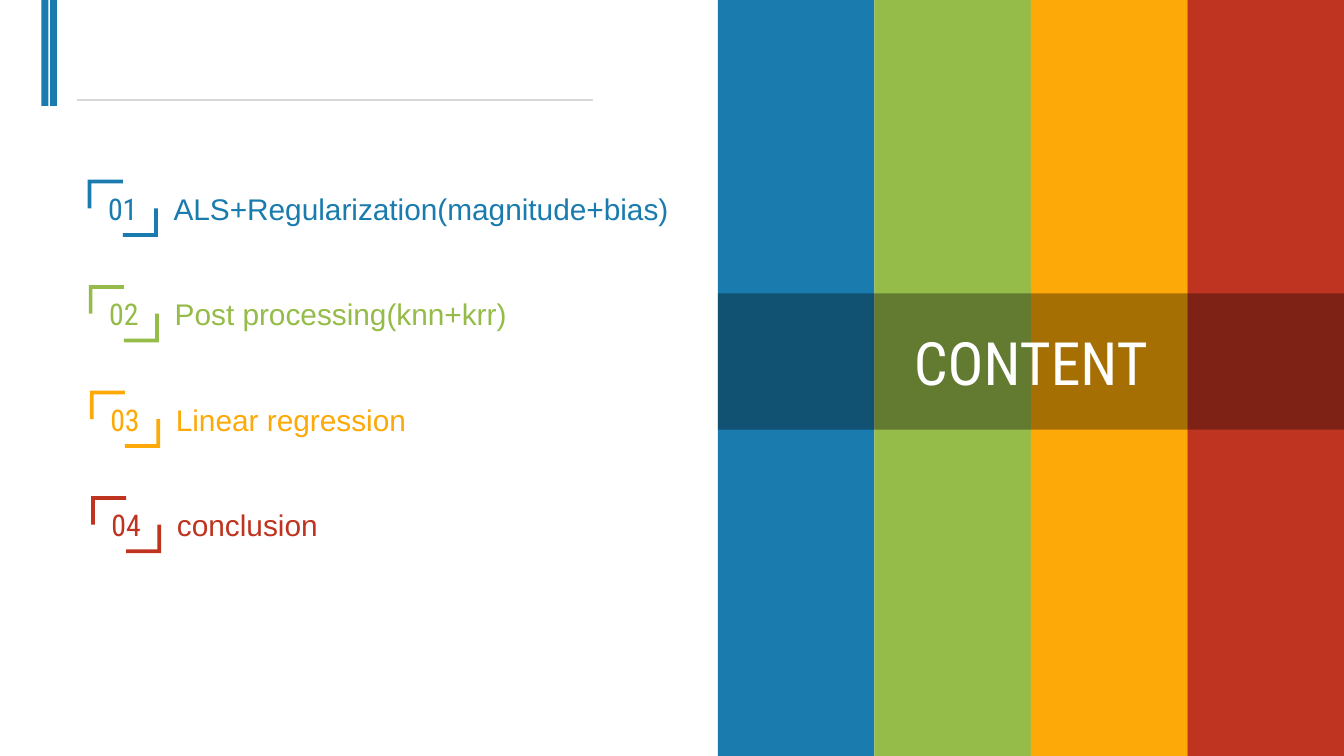
from lxml.etree import SubElement
from pptx import Presentation
from pptx.dml.color import RGBColor
from pptx.enum.shapes import MSO_CONNECTOR as Connector, MSO_SHAPE as Shape
from pptx.enum.text import MSO_ANCHOR as Anchor, MSO_AUTO_SIZE as AutoSize, PP_ALIGN as Align
from pptx.oxml.ns import qn
from pptx.util import Pt

COLOURS = {
    "blue": "1A7BAE", "green": "95BC49", "orange": "FDA907", "red": "BF3420",
    "rule": "D9D9D9", "black": "000000", "white": "FFFFFF",
}
WIDTH, HEIGHT = 720, 405


def paint(shape, colour):
    """Give a shape a plain fill with no line and no shadow."""
    shape.shadow.inherit = False
    shape.fill.solid()
    shape.fill.fore_color.rgb = RGBColor.from_string(COLOURS[colour])
    shape.line.fill.background()


def write(shape, text, size, font, colour, align, anchor):
    frame = shape.text_frame
    frame.word_wrap = True
    frame.vertical_anchor = anchor
    para = frame.paragraphs[0]
    para.alignment = align
    span = para.add_run()
    span.text = text
    span.font.size = Pt(size)
    span.font.name = font
    span.font.color.rgb = RGBColor.from_string(COLOURS[colour])


deck = Presentation()
deck.slide_width, deck.slide_height = Pt(WIDTH), Pt(HEIGHT)
page = deck.slides.add_slide(deck.slide_layouts[6])
shapes = page.shapes

# Title marks and rule
for left in (22.2, 26.8):
    bar = shapes.add_shape(Shape.RECTANGLE, Pt(left), 0, Pt(3.7), Pt(56.8))
    paint(bar, "blue")

rule = shapes.add_connector(Connector.STRAIGHT, Pt(41.2), Pt(53.6), Pt(317.6), Pt(53.6))
rule.line.color.rgb = RGBColor.from_string(COLOURS["rule"])
rule.line.width = Pt(0.75)
SubElement(rule._element.spPr, qn("a:effectLst"))

# Agenda items, each with a number between two corner brackets
ITEMS = [
    ("blue", "ALS+Regularization(magnitude+bias)"),
    ("green", "Post processing(knn+krr)"),
    ("orange", "Linear regression"),
    ("red", "conclusion"),
]
MARK_WIDTH, MARK_HEIGHT, THICK = 37.6, 30.6, 2
ARM_X, ARM_Y = MARK_WIDTH / 2, MARK_HEIGHT / 2
CORNER = [(0, 0), (ARM_X, 0), (ARM_X, THICK), (THICK, THICK), (THICK, ARM_Y), (0, ARM_Y)]
OPPOSITE = [(MARK_WIDTH - x, MARK_HEIGHT - y) for x, y in CORNER]

for index, (colour, label) in enumerate(ITEMS):
    left, top = 47 + 0.6 * index, 96.3 + 56.5 * index

    box = shapes.add_textbox(Pt(left + 38.9), Pt(top + 2.1), Pt(286.6), Pt(26.6))
    write(box, label, 16, "Arial", colour, Align.LEFT, Anchor.TOP)
    box.text_frame.auto_size = AutoSize.SHAPE_TO_FIT_TEXT

    first, second = [
        [(Pt(left + x), Pt(top + y)) for x, y in outline] for outline in (CORNER, OPPOSITE)
    ]
    builder = shapes.build_freeform(*first[0])
    builder.add_line_segments(first[1:], close=True)
    builder.move_to(*second[0])
    builder.add_line_segments(second[1:], close=True)
    mark = builder.convert_to_shape()
    paint(mark, colour)
    write(mark, f"{index + 1:02}", 16, "Roboto Condensed", colour, Align.CENTER, Anchor.MIDDLE)

# Colour stripes with a translucent title band
PANEL_LEFT = 384.6
STRIPE = (WIDTH - PANEL_LEFT) / len(ITEMS)
for index, (colour, _) in enumerate(ITEMS):
    stripe = shapes.add_shape(
        Shape.RECTANGLE, Pt(PANEL_LEFT + STRIPE * index), 0, Pt(STRIPE), Pt(HEIGHT))
    paint(stripe, colour)

band = shapes.add_shape(
    Shape.RECTANGLE, Pt(PANEL_LEFT), Pt(157.2), Pt(WIDTH - PANEL_LEFT), Pt(73))
paint(band, "black")
fill_colour = band._element.spPr.find(qn("a:solidFill")).find(qn("a:srgbClr"))
SubElement(fill_colour, qn("a:alpha"), val="34000")
write(band, "CONTENT", 32, "Roboto Condensed", "white", Align.CENTER, Anchor.MIDDLE)

deck.save("out.pptx")
